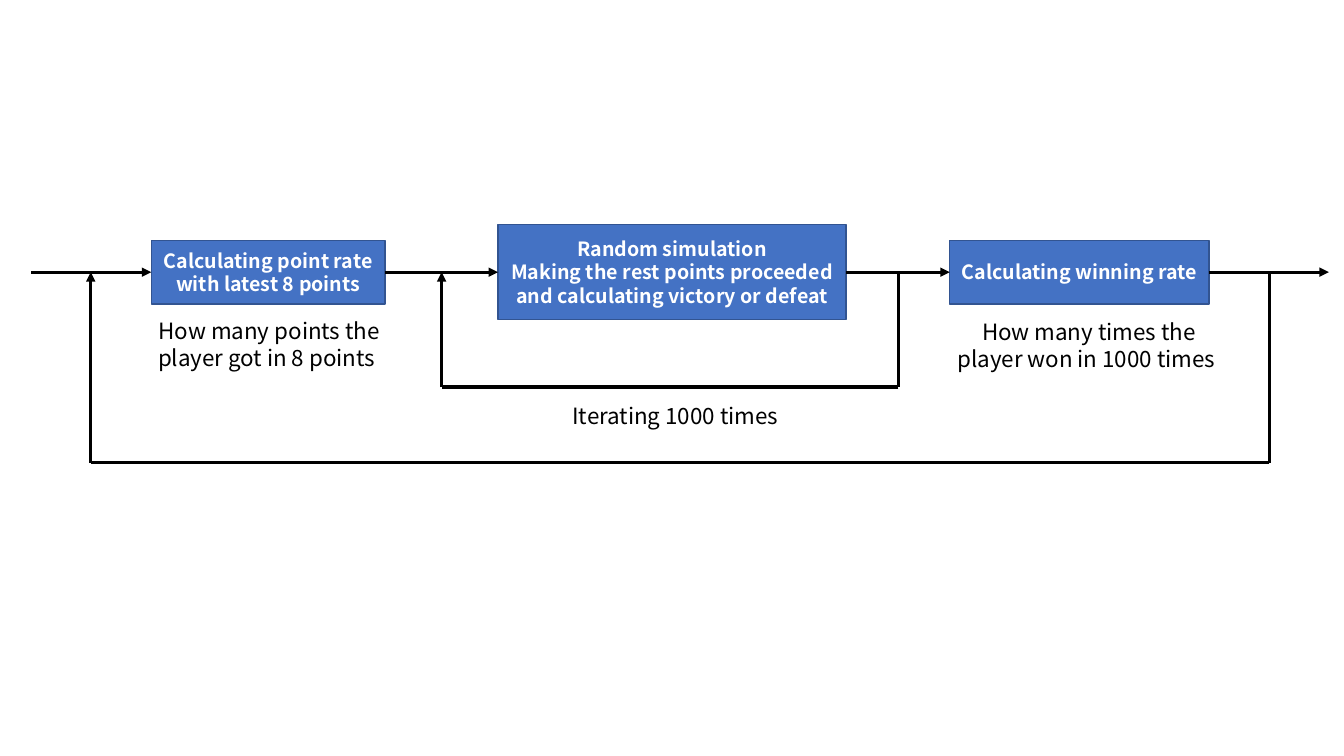
from lxml.etree import SubElement
from pptx import Presentation
from pptx.dml.color import RGBColor
from pptx.enum.shapes import MSO_CONNECTOR, MSO_SHAPE
from pptx.enum.text import MSO_ANCHOR, PP_ALIGN
from pptx.oxml.ns import qn
from pptx.util import Inches, Pt

FONT = "Noto Sans CJK JP"
BLUE, EDGE, WHITE, BLACK = "4472C4", "325491", "FFFFFF", "000000"

# Process steps: left, width, height, paragraphs
STEPS = [
    (1.5, 2.32, 0.63, ["Calculating point rate with latest 8 points"]),
    (4.94, 3.45, 0.94, ["Random simulation",
                        "Making the rest points proceeded and calculating victory or defeat"]),
    (9.42, 2.57, 0.63, ["Calculating winning rate"]),
]
# Captions: left, top, width, height, wraps, text
CAPTIONS = [
    (1.18, 3.1, 2.98, 0.64, True, "How many points the player got in 8 points "),
    (5.58, 3.94, 2.33, 0.37, False, "Iterating 1000 times"),
    (9.31, 3.11, 2.98, 0.64, True, "How many times the player won in 1000 times "),
]
# Feedback loops: left, right, bottom
LOOPS = [(4.38, 8.91, 3.84), (0.9, 12.59, 4.59)]
FLOW_Y, FLOW_START, FLOW_END = 2.7, 0.31, 13.18

deck = Presentation()
deck.slide_width, deck.slide_height = Inches(13.33), Inches(7.5)
page = deck.slides.add_slide(deck.slide_layouts[6])


def color(value):
    return RGBColor.from_string(value)


def write(frame, paragraphs, size, fill, bold=False, align=PP_ALIGN.CENTER, wrap=True):
    frame.word_wrap = wrap
    for index, text in enumerate(paragraphs):
        para = frame.paragraphs[0] if index == 0 else frame.add_paragraph()
        para.alignment = align
        # Fixed pitch of 1.2 times the text size
        para.line_spacing = Pt(size * 1.2)
        span = para.add_run()
        span.text = text
        span.font.name, span.font.size, span.font.bold = FONT, Pt(size), bold
        span.font.color.rgb = color(fill)


def connect(start, end, arrow=False):
    line = page.shapes.add_connector(MSO_CONNECTOR.STRAIGHT, *map(Inches, start + end))
    line.line.color.rgb = color(BLACK)
    line.line.width = Pt(2.25)
    if arrow:
        SubElement(line.line._get_or_add_ln(), qn("a:tailEnd"), type="triangle")
    SubElement(line._element.spPr, qn("a:effectLst"))


# Steps, centred on the flow line
for left, width, height, paragraphs in STEPS:
    box = page.shapes.add_shape(MSO_SHAPE.RECTANGLE, Inches(left), Inches(FLOW_Y - height / 2),
                                Inches(width), Inches(height))
    box.shadow.inherit = False
    box.fill.solid()
    box.fill.fore_color.rgb = color(BLUE)
    box.line.color.rgb = color(EDGE)
    box.line.width = Pt(1)
    box.text_frame.vertical_anchor = MSO_ANCHOR.MIDDLE
    write(box.text_frame, paragraphs, 14, WHITE, bold=True)

# Flow arrows, from the right edge of one step to the left edge of the next
starts = [FLOW_START] + [left + width for left, width, *_ in STEPS]
ends = [left for left, *_ in STEPS] + [FLOW_END]
for start, end in zip(starts, ends):
    connect((start, FLOW_Y), (end, FLOW_Y), arrow=True)

# Feedback loops: down, back and up into the flow
for left, right, bottom in LOOPS:
    connect((right, FLOW_Y), (right, bottom))
    connect((right, bottom), (left, bottom))
    connect((left, bottom), (left, FLOW_Y), arrow=True)

# Captions
for left, top, width, height, wraps, text in CAPTIONS:
    caption = page.shapes.add_textbox(*map(Inches, (left, top, width, height)))
    write(caption.text_frame, [text], 16, BLACK, wrap=wraps,
          align=PP_ALIGN.CENTER if wraps else PP_ALIGN.LEFT)

deck.save("out.pptx")
